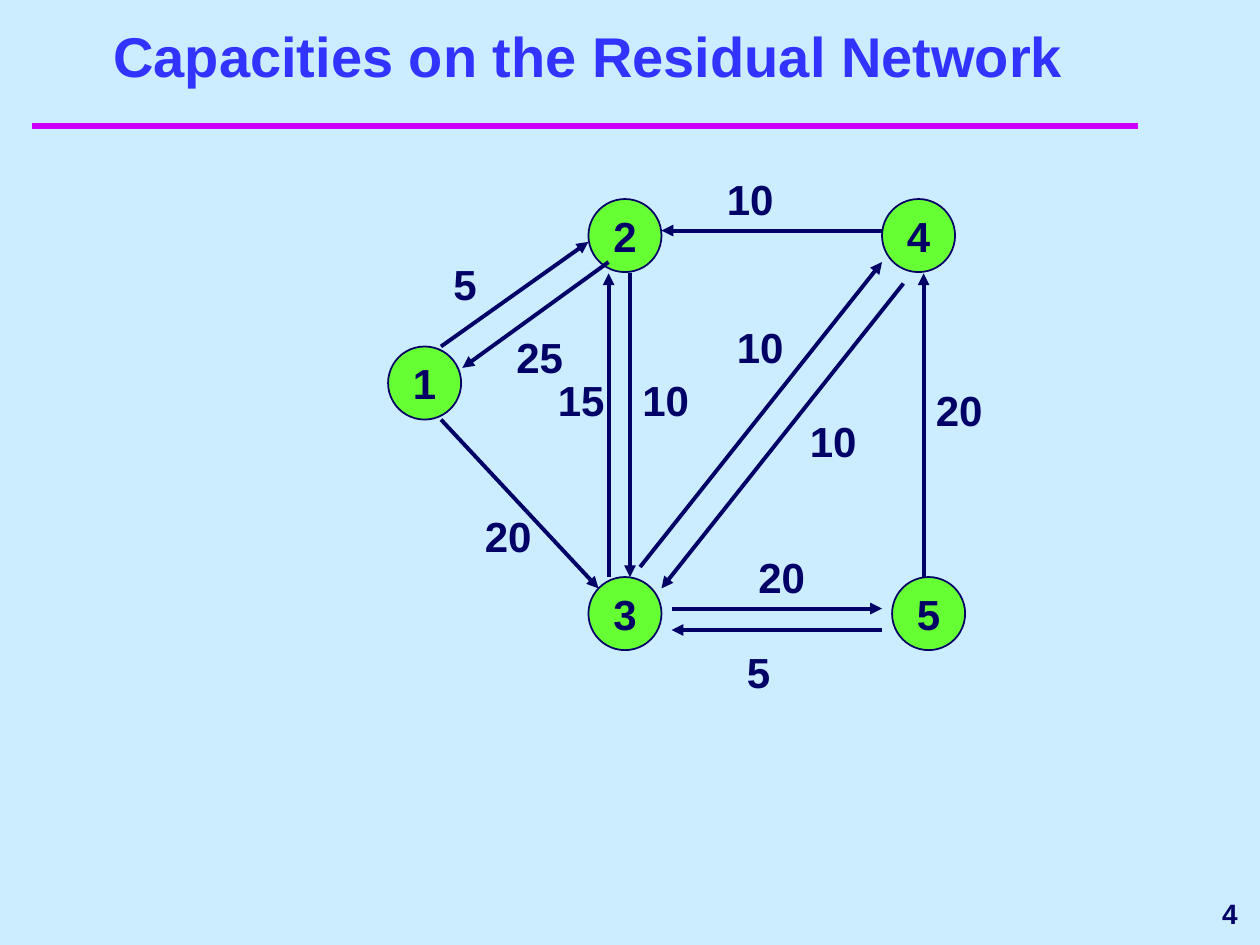
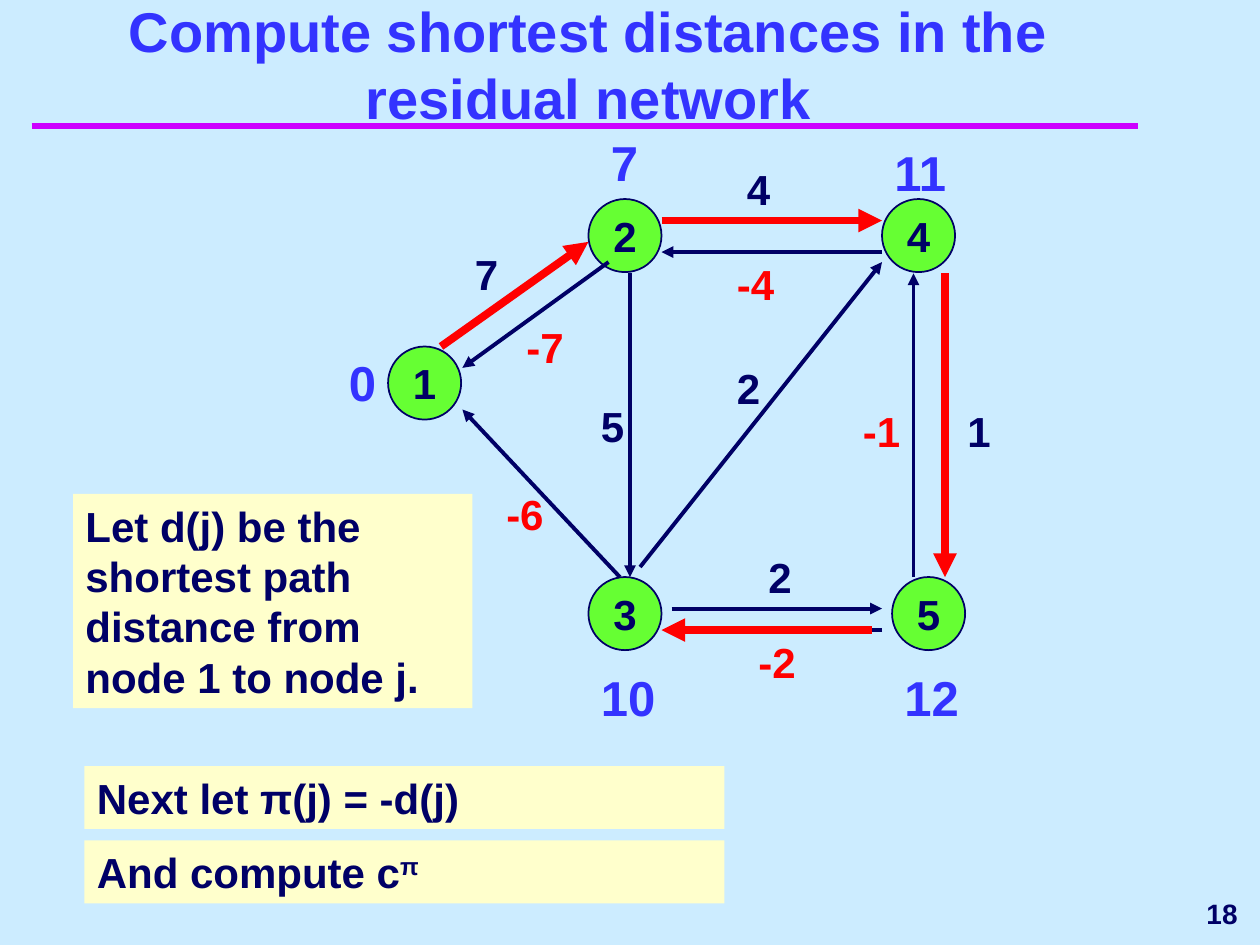
from lxml.etree import SubElement
from pptx import Presentation
from pptx.dml.color import RGBColor
from pptx.enum.shapes import MSO_CONNECTOR, MSO_SHAPE
from pptx.enum.text import MSO_ANCHOR, MSO_AUTO_SIZE, PP_ALIGN
from pptx.oxml.ns import qn
from pptx.util import Inches, Pt

# Shared look
SKY = RGBColor(0xCC, 0xEC, 0xFF)
NAVY = RGBColor(0x00, 0x00, 0x66)
BLUE = RGBColor(0x33, 0x33, 0xFF)
RED = RGBColor(0xFF, 0x00, 0x00)
GREEN = RGBColor(0x66, 0xFF, 0x33)
CREAM = RGBColor(0xFF, 0xFF, 0xCC)
MAGENTA = RGBColor(0xCC, 0x00, 0xFF)
FONT = "Arial"

# Network nodes: name -> left, top
NODE_SIZE = 0.58
NODES = {"1": (3.08, 2.75), "2": (4.67, 1.58), "4": (7, 1.58),
         "3": (4.67, 4.58), "5": (7.08, 4.58)}

# Arcs on both pages: start x, start y, end x, end y
COMMON_ARCS = [
    (5.33, 4.83, 7, 4.83),     # 3 to 5
    (7, 5, 5.33, 5),           # 5 to 3
    (5, 2.17, 5, 4.58),        # 2 to 3
    (5.08, 4.5, 7, 2.08),      # 3 to 4
    (4.83, 2.08, 3.67, 2.92),  # 2 to 1
]
CAPACITY_ARCS = [
    (7, 1.83, 5.25, 1.83),     # 4 to 2
    (3.5, 2.75, 4.67, 1.92),   # 1 to 2
    (3.5, 3.33, 4.75, 4.67),   # 1 to 3
    (7.33, 4.58, 7.33, 2.17),  # 5 to 4
    (4.83, 4.58, 4.83, 2.17),  # 3 to 2
    (7.17, 2.25, 5.25, 4.67),  # 4 to 3
]
COST_ARCS = [
    (7.25, 4.58, 7.25, 2.17),  # 5 to 4
    (4.92, 4.58, 3.67, 3.25),  # 3 to 1
    (7, 2, 5.25, 2),           # 4 to 2
]
SHORTEST_PATH_ARCS = [
    (3.5, 2.75, 4.67, 1.92),   # 1 to 2
    (5.25, 1.75, 7, 1.75),     # 2 to 4
    (7.5, 2.17, 7.5, 4.58),    # 4 to 5
    (6.92, 5, 5.25, 5),        # 5 to 3
]

# Arc labels: text, left, top, width
CAPACITIES = [
    ("10", 5.67, 1.33, 1.17), ("20", 7.33, 3, 1.17), ("20", 3.75, 4, 0.67),
    ("5", 3.5, 2, 1.17), ("25", 4, 2.58, 1.17), ("10", 5.75, 2.5, 1.17),
    ("10", 5, 2.92, 1.17), ("15", 4.33, 2.92, 1.17), ("5", 5.83, 5.08, 1.17),
    ("20", 5.92, 4.33, 0.67), ("10", 6.33, 3.25, 1.17),
]
COSTS = [
    ("1", 7.58, 3.17, 0.42), ("2", 5.75, 2.83, 0.58), ("2", 6, 4.33, 0.58),
    ("7", 3.67, 1.92, 1.17), ("-7", 4.08, 2.5, 1.17), ("-6", 3.92, 3.83, 0.67),
    ("-2", 5.92, 5, 0.58), ("-1", 6.75, 3.17, 0.58), ("-4", 5.75, 2, 0.67),
    ("4", 5.83, 1.25, 0.58), ("5", 4.67, 3.13, 0.67),
]
DISTANCES = [("0", 2.67, 2.75), ("7", 4.75, 1), ("11", 7, 1.08),
             ("12", 7.08, 5.25), ("10", 4.67, 5.25)]


def add_span(para, text, size=24, color=NAVY):
    span = para.add_run()
    span.text = text
    span.font.name = FONT
    span.font.size = Pt(size)
    span.font.bold = True
    span.font.color.rgb = color
    return span


def add_text(page, text, left, top, width, height, size=24, color=NAVY,
             align=PP_ALIGN.LEFT, anchor=MSO_ANCHOR.TOP, grow=True):
    box = page.shapes.add_textbox(Inches(left), Inches(top),
                                  Inches(width), Inches(height))
    frame = box.text_frame
    frame.word_wrap = True
    frame.vertical_anchor = anchor
    frame.auto_size = MSO_AUTO_SIZE.SHAPE_TO_FIT_TEXT if grow else MSO_AUTO_SIZE.NONE
    para = frame.paragraphs[0]
    para.alignment = align
    add_span(para, text, size, color)
    return box


def add_line(page, start_x, start_y, end_x, end_y, color, width):
    line = page.shapes.add_connector(MSO_CONNECTOR.STRAIGHT, Inches(start_x),
                                     Inches(start_y), Inches(end_x), Inches(end_y))
    line.line.color.rgb = color
    line.line.width = Pt(width)
    SubElement(line._element.spPr, qn("a:effectLst"))
    return line


def add_arcs(page, arcs, color=NAVY, width=2.25):
    for arc in arcs:
        line = add_line(page, *arc, color, width)
        SubElement(line.line._get_or_add_ln(), qn("a:tailEnd"), type="triangle")


def add_nodes(page):
    for name, (left, top) in NODES.items():
        node = page.shapes.add_shape(MSO_SHAPE.OVAL, Inches(left), Inches(top),
                                     Inches(NODE_SIZE), Inches(NODE_SIZE))
        node.shadow.inherit = False
        node.fill.solid()
        node.fill.fore_color.rgb = GREEN
        node.line.color.rgb = NAVY
        node.line.width = Pt(1)
        node.text_frame.word_wrap = False
        node.text_frame.vertical_anchor = MSO_ANCHOR.MIDDLE
        para = node.text_frame.paragraphs[0]
        para.alignment = PP_ALIGN.CENTER
        add_span(para, name)


def add_arc_labels(page, labels):
    for text, left, top, width in labels:
        color = RED if text.startswith("-") else NAVY
        add_text(page, text, left, top, width, 0.5, color=color)


def add_note(page, text, left, top, width, height):
    box = add_text(page, text, left, top, width, height)
    box.fill.solid()
    box.fill.fore_color.rgb = CREAM
    return box


def add_network_page(deck, title, title_top, number, arcs, labels):
    page = deck.slides.add_slide(deck.slide_layouts[6])
    page.background.fill.solid()
    page.background.fill.fore_color.rgb = SKY
    add_line(page, 0.25, 1, 9.03, 1, MAGENTA, 4)
    add_text(page, title, 0.42, title_top, 8.5, 0.42, 32, BLUE,
             PP_ALIGN.CENTER, MSO_ANCHOR.BOTTOM, grow=False)
    add_nodes(page)
    add_arcs(page, COMMON_ARCS + arcs)
    add_arc_labels(page, labels)
    add_text(page, number, 8, 7, 1.92, 0.5, 16, NAVY,
             PP_ALIGN.RIGHT, MSO_ANCHOR.MIDDLE, grow=False)
    return page


def main():
    deck = Presentation()
    deck.slide_width = Inches(10)
    deck.slide_height = Inches(7.5)

    # Residual capacities
    add_network_page(deck, "Capacities on the Residual Network", 0.33, "4",
                     CAPACITY_ARCS, CAPACITIES)

    # Shortest distances
    page = add_network_page(deck, "Compute shortest distances in the residual network",
                            0.67, "18", COST_ARCS, COSTS)
    for text, left, top in DISTANCES:
        add_text(page, text, left, top, 0.75, 0.57, 28, BLUE)
    add_arcs(page, SHORTEST_PATH_ARCS, RED, 4.5)

    # Notes
    add_note(page, "Let d(j) be the shortest path distance from node 1 to node j.",
             0.58, 3.92, 3.17, 1.7)
    add_note(page, "Next let π(j) = -d(j)", 0.67, 6.08, 5.08, 0.5)
    box = add_note(page, "And compute c", 0.67, 6.67, 5.08, 0.5)
    exponent = add_span(box.text_frame.paragraphs[0], "π")
    exponent._r.get_or_add_rPr().set("baseline", "30000")

    deck.save("out.pptx")


if __name__ == "__main__":
    main()
